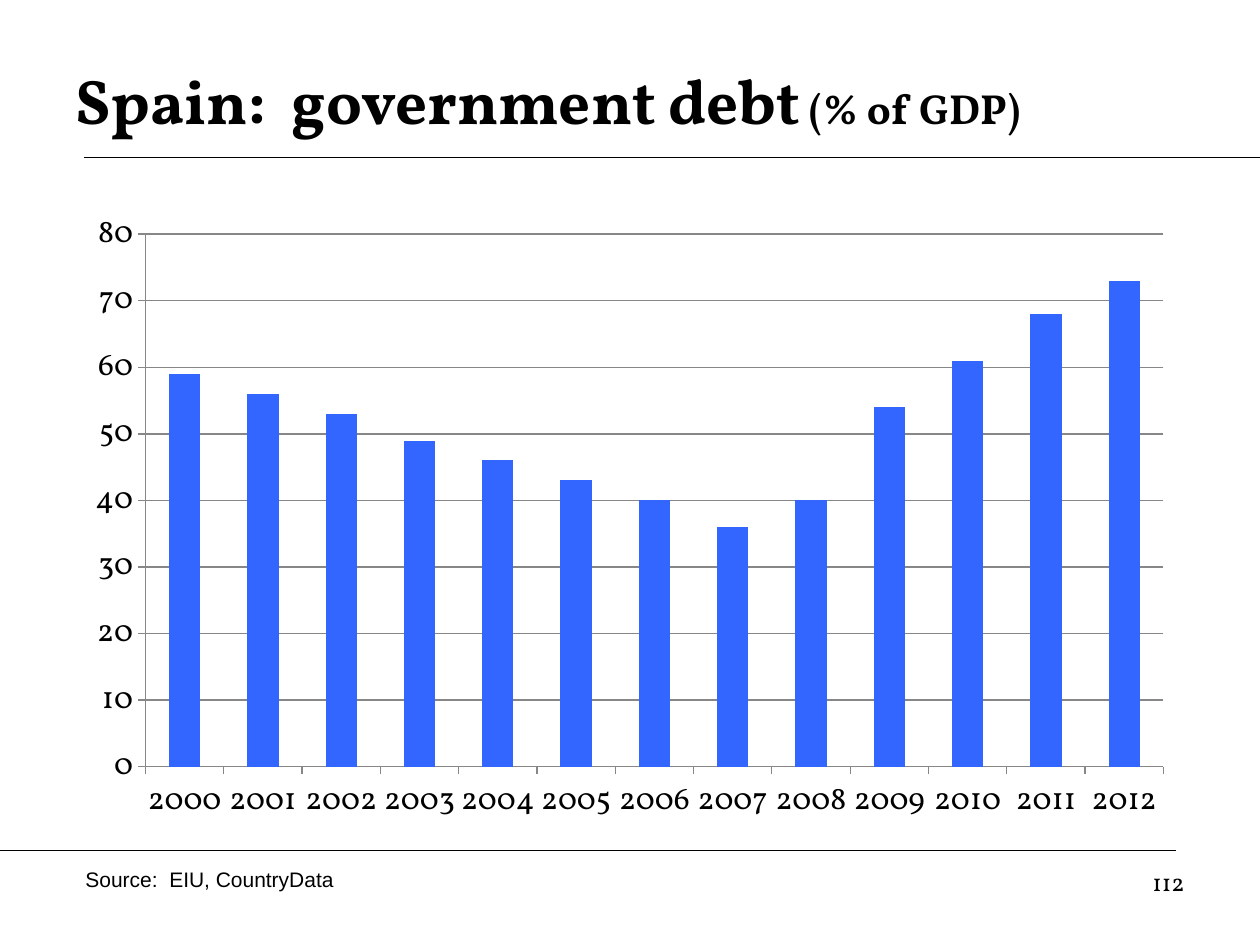
from lxml import etree
from pptx import Presentation
from pptx.chart.data import CategoryChartData
from pptx.dml.color import RGBColor
from pptx.enum.chart import XL_CHART_TYPE as ChartType, XL_TICK_MARK as TickMark
from pptx.enum.shapes import MSO_CONNECTOR as Connector
from pptx.enum.text import MSO_ANCHOR as Anchor, PP_ALIGN as Align
from pptx.oxml.ns import qn
from pptx.util import Inches, Pt

SERIF = "Vollkorn"
BLACK = "000000"
GREY = "878787"
BLUE = "3366FF"
DEBT = [59, 56, 53, 49, 46, 43, 40, 36, 40, 54, 61, 68, 73]


def color(value):
    """Turn a hex string into a colour."""
    return RGBColor.from_string(value)


def style_font(font, size, name=SERIF, bold=False):
    """Set the face, size, weight and colour of a font."""
    font.name = name
    font.size = Pt(size)
    font.bold = bold
    font.color.rgb = color(BLACK)


def add_rule(page, left, right, top):
    """Draw a thin horizontal rule."""
    rule = page.shapes.add_connector(
        Connector.STRAIGHT, Inches(left), Inches(top), Inches(right), Inches(top))
    rule.line.color.rgb = color(BLACK)
    rule.line.width = Pt(0.75)
    etree.SubElement(rule.element.spPr, qn("a:effectLst"))


def add_text(page, place, runs, align=Align.LEFT, anchor=Anchor.TOP):
    """Add a one-paragraph text box; each run is text, size, font and weight."""
    box = page.shapes.add_textbox(*map(Inches, place))
    frame = box.text_frame
    frame.word_wrap = True
    frame.vertical_anchor = anchor
    para = frame.paragraphs[0]
    para.alignment = align
    for text, size, name, bold in runs:
        span = para.add_run()
        span.text = text
        style_font(span.font, size, name, bold)


def style_axis(axis):
    """Give an axis grey lines and outside ticks."""
    axis.major_tick_mark = TickMark.OUTSIDE
    axis.minor_tick_mark = TickMark.NONE
    axis.format.line.color.rgb = color(GREY)
    axis.format.line.width = Pt(0.75)


def add_debt_chart(page, place):
    """Add the column chart of debt by year."""
    data = CategoryChartData()
    data.categories = [str(2000 + offset) for offset in range(len(DEBT))]
    data.add_series("Government debt", DEBT)
    chart = page.shapes.add_chart(
        ChartType.COLUMN_CLUSTERED, *map(Inches, place), data).chart
    chart.has_legend = False
    chart.has_title = False
    style_font(chart.font, 18)
    plot = chart.plots[0]
    plot.gap_width = 150
    plot.vary_by_categories = False
    fill = plot.series[0].format.fill
    fill.solid()
    fill.fore_color.rgb = color(BLUE)
    style_axis(chart.category_axis)
    values = chart.value_axis
    style_axis(values)
    values.minimum_scale, values.maximum_scale, values.major_unit = 0, 80, 10
    values.has_major_gridlines = True
    grid = values.major_gridlines.format.line
    grid.color.rgb = color(GREY)
    grid.width = Pt(0.75)


def main():
    """Build the slide and save it."""
    deck = Presentation()
    deck.slide_width, deck.slide_height = Inches(10), Inches(7.5)
    page = deck.slides.add_slide(deck.slide_layouts[6])
    add_rule(page, 0.67, 10, 1.25)
    add_rule(page, 0, 9.33, 6.75)
    add_text(page, (0.5, 0.33, 9, 0.92),
             [("Spain:  government debt", 36, SERIF, True),
              (" (% of GDP)", 24, SERIF, True)], anchor=Anchor.MIDDLE)
    add_debt_chart(page, (0.58, 1.58, 8.83, 5.06))
    add_text(page, (0.58, 6.83, 4.83, 0.3),
             [("Source:  EIU, CountryData", 12, "Arial", False)])
    add_text(page, (7.17, 6.83, 2.33, 0.52),
             [("112", 14, SERIF, False)], align=Align.RIGHT)
    deck.save("out.pptx")


if __name__ == "__main__":
    main()
